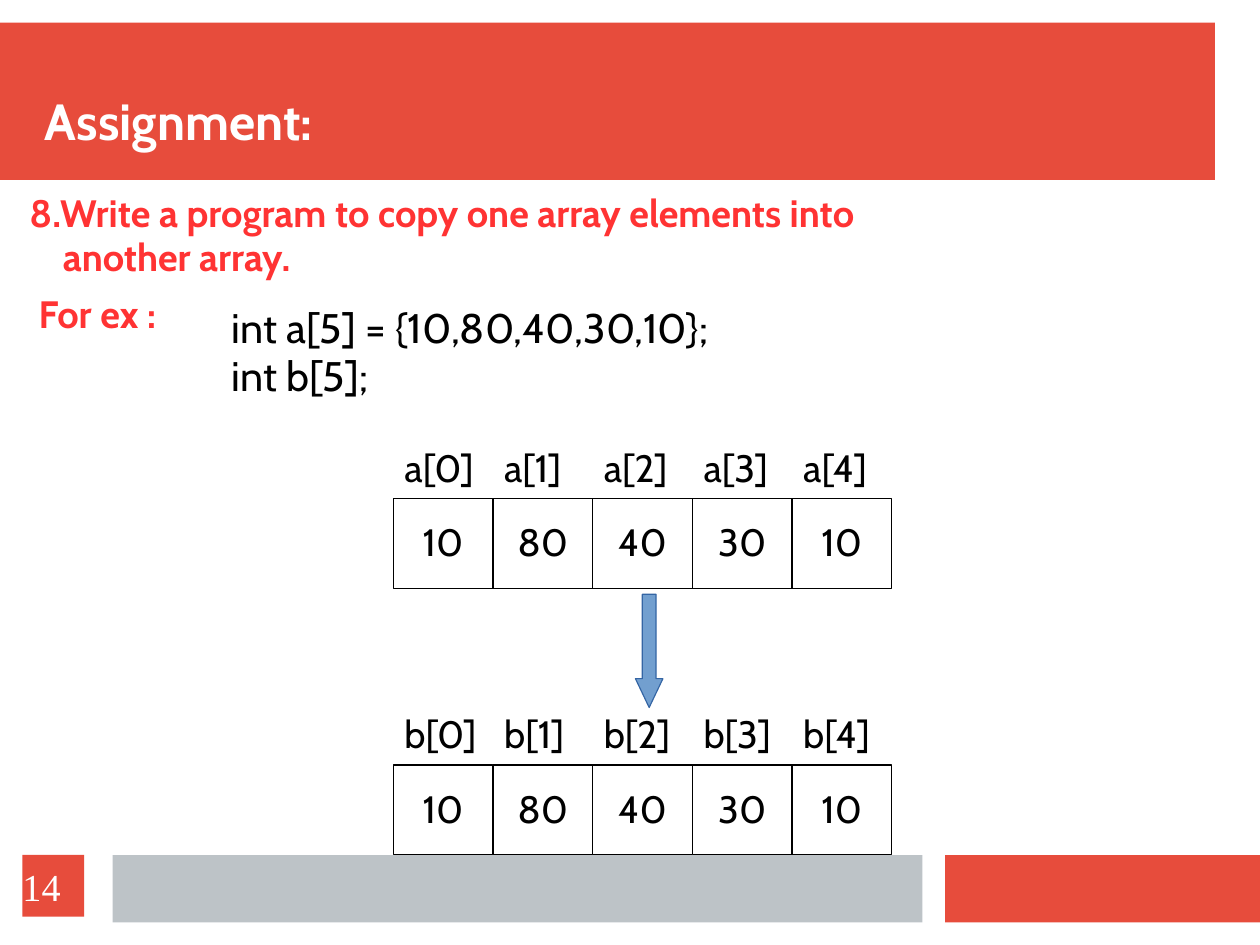
from pptx import Presentation
from pptx.dml.color import RGBColor
from pptx.enum.shapes import MSO_SHAPE as Preset
from pptx.enum.text import MSO_ANCHOR as Anchor, PP_ALIGN as Align
from pptx.util import Pt

RED = RGBColor(0xE7, 0x4C, 0x3C)
GRAY = RGBColor(0xBD, 0xC3, 0xC7)
TASK_RED = RGBColor(0xFF, 0x33, 0x33)
ARROW_BLUE = RGBColor(0x72, 0x9F, 0xCF)
ARROW_EDGE = RGBColor(0x34, 0x65, 0xA4)
BLACK = RGBColor(0, 0, 0)
WHITE = RGBColor(0xFF, 0xFF, 0xFF)

VALUES = [10, 80, 40, 30, 10]
CELL_LEFT, CELL_WIDTH, CELL_HEIGHT = 247.7, 62.8, 56.7
LABEL_HEIGHT = 36


def add_block(slide, box, fill, line=None, preset=Preset.RECTANGLE):
    """Add a flat preset shape, outlined only when a line colour is given."""
    shape = slide.shapes.add_shape(preset, *map(Pt, box))
    shape.shadow.inherit = False
    shape.fill.solid()
    shape.fill.fore_color.rgb = fill
    if line is None:
        shape.line.fill.background()
    else:
        shape.line.color.rgb = line
        shape.line.width = Pt(0.75)
    return shape


def write(shape, lines, size=24, color=BLACK, bold=False, font="Cabin",
          align=Align.LEFT, anchor=Anchor.TOP, inset=(7.2, 3.6),
          spacing=0.97, hanging=0):
    """Write lines into a shape, indenting those after the first by hanging."""
    frame = shape.text_frame
    frame.word_wrap = True
    frame.vertical_anchor = anchor
    frame.margin_left = frame.margin_right = Pt(inset[0])
    frame.margin_top = frame.margin_bottom = Pt(inset[1])
    for index, line in enumerate(lines):
        paragraph = frame.add_paragraph() if index else frame.paragraphs[0]
        paragraph.alignment = align
        paragraph.line_spacing = spacing
        if index and hanging:
            paragraph._p.get_or_add_pPr().set("marL", str(Pt(hanging)))
        run = paragraph.add_run()
        run.text = line
        run.font.name = font
        run.font.size = Pt(size)
        run.font.bold = bold
        run.font.color.rgb = color


def add_text(slide, box, lines, **style):
    """Add a text box holding the given lines."""
    write(slide.shapes.add_textbox(*map(Pt, box)), lines, **style)


def add_array(slide, name, top):
    """Add a row of value cells with an index label above each."""
    for index, value in enumerate(VALUES):
        left = CELL_LEFT + index * CELL_WIDTH
        cell = add_block(slide, (left, top, CELL_WIDTH, CELL_HEIGHT), WHITE, BLACK)
        write(cell, [str(value)], align=Align.CENTER, anchor=Anchor.MIDDLE)
        add_text(slide, (left, top - LABEL_HEIGHT, CELL_WIDTH, LABEL_HEIGHT),
                 [f"{name}[{index}]"])


def main():
    """Build the assignment slide and save it."""
    presentation = Presentation()
    presentation.slide_width = Pt(793.7)
    presentation.slide_height = Pt(595.3)
    slide = presentation.slides.add_slide(presentation.slide_layouts[6])

    add_block(slide, (0, 14.2, 765.4, 99.2), RED)
    add_block(slide, (595.3, 538.6, 198.4, 42.5), RED)
    add_block(slide, (70.9, 538.6, 510.2, 42.5), GRAY)
    add_text(slide, (28.3, 28.3, 733.7, 67.7), ["Assignment:"], size=32,
             color=WHITE, bold=True, anchor=Anchor.BOTTOM, inset=(0, 0))

    add_text(slide, (11.5, 117.4, 688.3, 64),
             ["8.Write a program to copy one array elements into", "another array."],
             color=TASK_RED, bold=True, hanging=21)
    add_text(slide, (17.3, 181.4, 124.6, 36), ["For ex :"],
             color=TASK_RED, bold=True)
    add_text(slide, (139, 188.6, 388, 68.4),
             ["int a[5] = {10,80,40,30,10};", "int b[5];"], size=26)

    add_array(slide, "a", 313.9)
    add_array(slide, "b", 481.9)
    arrow = add_block(slide, (400.3, 374.4, 17.3, 71.3), ARROW_BLUE, ARROW_EDGE,
                      Preset.DOWN_ARROW)
    arrow.adjustments[1] = 1.05

    number = add_block(slide, (14.2, 538.6, 38.9, 38.9), RED)
    write(number, ["14"], color=WHITE, font="Times New Roman",
          anchor=Anchor.MIDDLE, inset=(0, 0), spacing=1.0)

    presentation.save("out.pptx")


if __name__ == "__main__":
    main()
